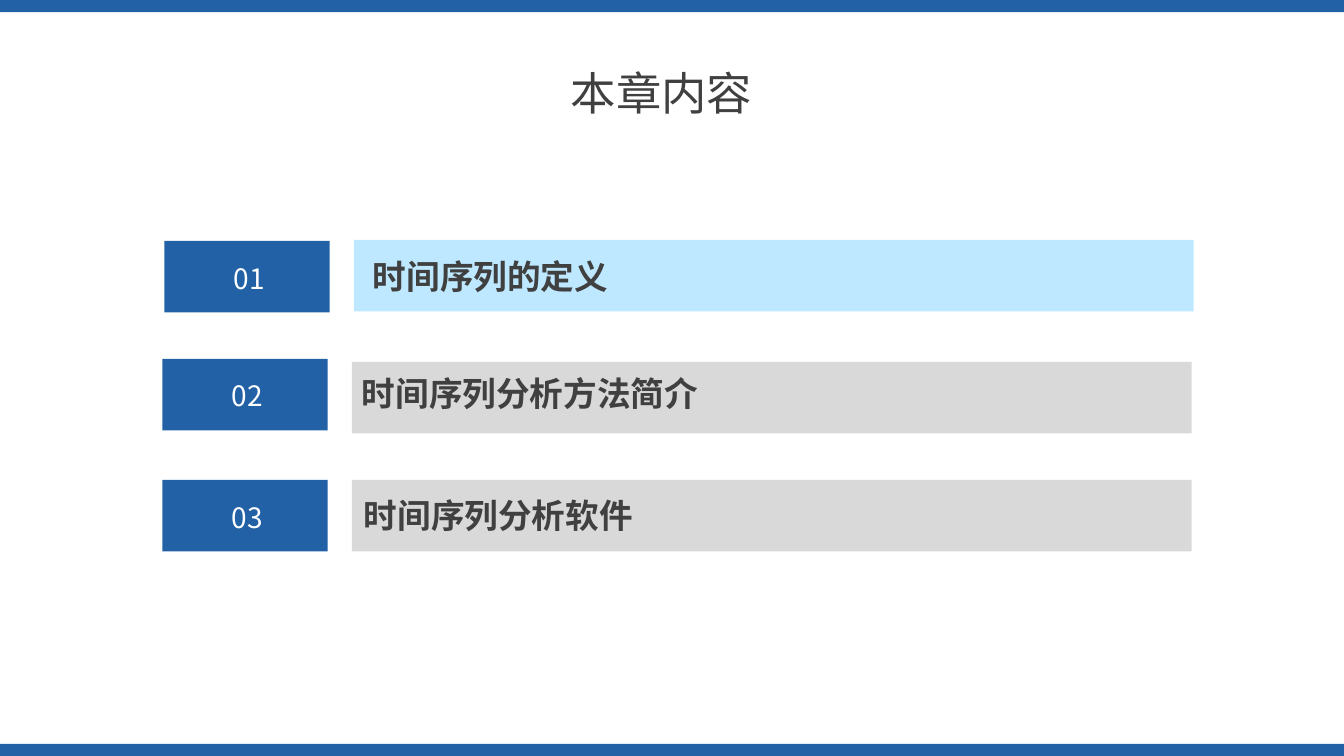
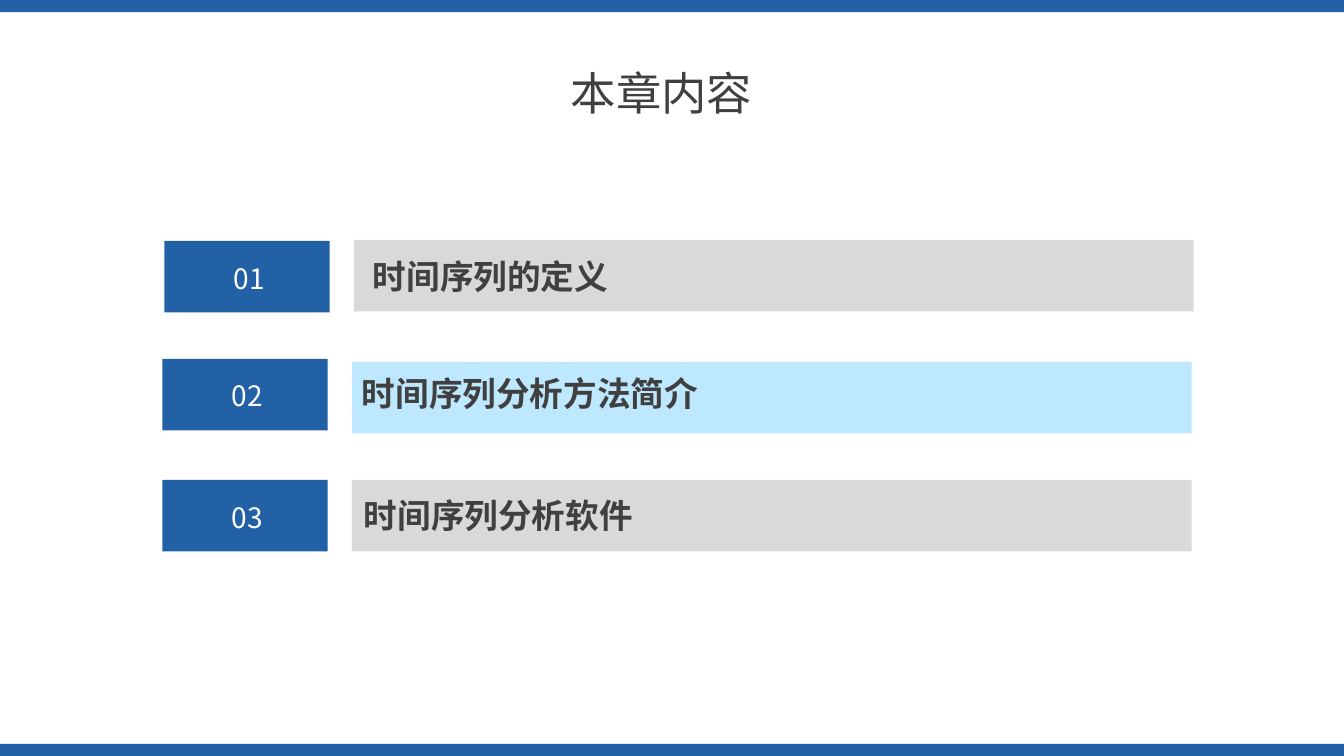
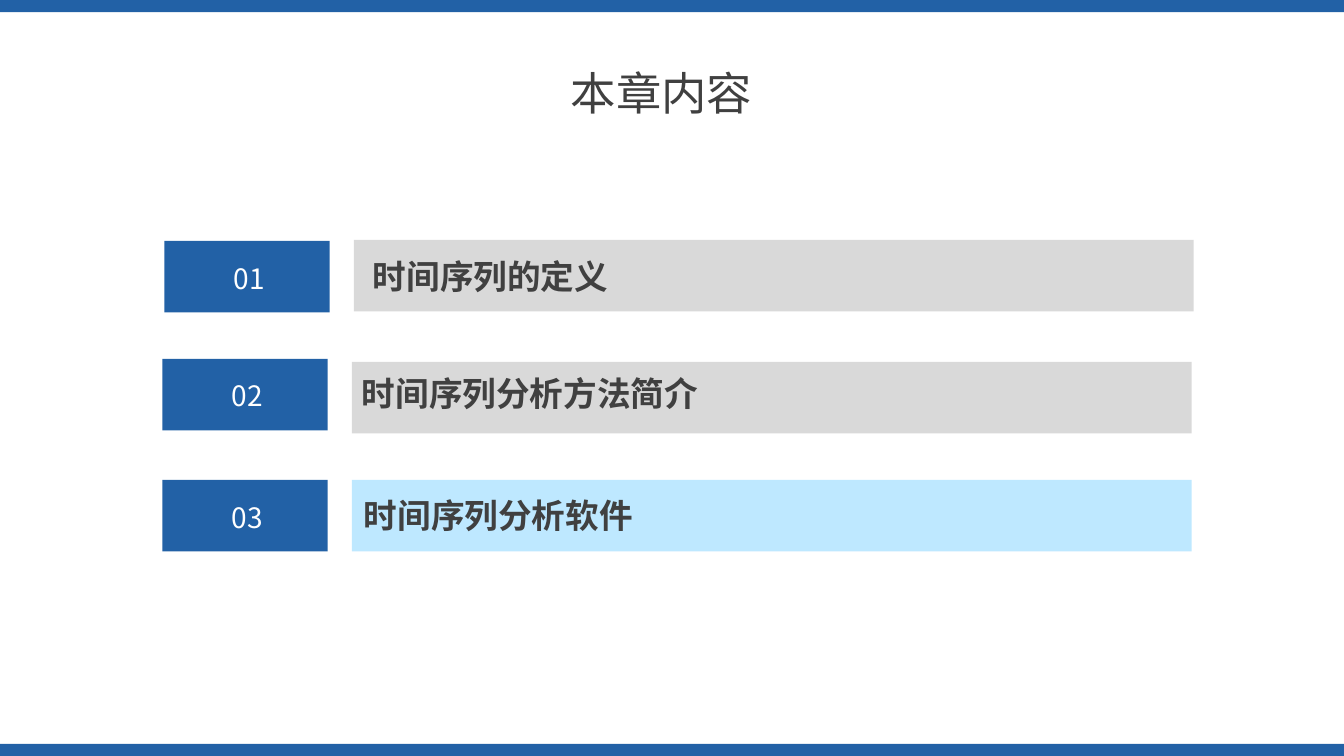
"""Build the three chapter agenda slides, each highlighting one section."""
from dataclasses import dataclass

from lxml.etree import SubElement
from pptx import Presentation
from pptx.dml.color import RGBColor
from pptx.enum.shapes import MSO_SHAPE
from pptx.enum.text import MSO_ANCHOR as Anchor, MSO_AUTO_SIZE, PP_ALIGN
from pptx.oxml.ns import qn
from pptx.shapes.autoshape import Shape
from pptx.slide import Slide, SlideLayout
from pptx.util import Inches, Pt

BLUE = RGBColor(0x22, 0x61, 0xA6)
LIGHT_BLUE = RGBColor(0xBE, 0xE8, 0xFF)
GRAY = RGBColor(0xD9, 0xD9, 0xD9)
DARK = RGBColor(0x40, 0x40, 0x40)
WHITE = RGBColor(0xFF, 0xFF, 0xFF)
FONT = "Noto Sans CJK SC"
TITLE = "本章内容"
WIDTH, HEIGHT, BAND = 13.33, 7.5, 0.12
BADGE_W, BAR_W, ROW_H = 1.64, 8.33, 0.71
BAR_DX, NUMBER_DX, NUMBER_W, NUMBER_H = 1.88, 0.59, 0.51, 0.44
LABEL_W, LABEL_H = 5.65, 0.38


@dataclass(frozen=True)
class Section:
    """One agenda row: its label and the places of its parts."""
    label: str
    left: float
    badge_top: float
    bar_top: float
    label_left: float
    text_top: float


SECTIONS = (
    Section("时间序列的定义", 1.63, 2.39, 2.38, 3.6, 2.55),
    Section("时间序列分析方法简介", 1.61, 3.56, 3.59, 3.49, 3.71),
    Section("时间序列分析软件", 1.61, 4.76, 4.76, 3.51, 4.92),
)


def write(s: Shape, text: str, *, size: float, color: RGBColor = DARK,
          bold: bool = False, anchor: Anchor = Anchor.MIDDLE,
          wrap: bool = True) -> None:
    """Put one formatted line of text into a shape."""
    tf = s.text_frame
    tf.word_wrap = wrap
    tf.auto_size = MSO_AUTO_SIZE.NONE
    tf.vertical_anchor = anchor
    p = tf.paragraphs[0]
    p.alignment = PP_ALIGN.LEFT
    r = p.add_run()
    r.text = text
    r.font.size = Pt(size)
    r.font.bold = bold
    r.font.color.rgb = color
    r.font.name = FONT
    SubElement(r._r.get_or_add_rPr(), qn("a:ea")).set("typeface", FONT)


def add_rect(s: Slide, left: float, top: float, width: float, height: float,
             color: RGBColor) -> Shape:
    """Add a plain filled rectangle."""
    sp = s.shapes.add_shape(MSO_SHAPE.RECTANGLE, Inches(left), Inches(top),
                            Inches(width), Inches(height))
    sp.shadow.inherit = False
    sp.fill.solid()
    sp.fill.fore_color.rgb = color
    sp.line.fill.background()
    return sp


def add_text(s: Slide, text: str, left: float, top: float, width: float,
             height: float, **fmt) -> None:
    """Add a text box with one formatted line."""
    sp = s.shapes.add_textbox(Inches(left), Inches(top), Inches(width), Inches(height))
    write(sp, text, **fmt)


def place_title(layout: SlideLayout) -> None:
    """Set the title position that all slides inherit."""
    sp = layout.placeholders[0]
    sp.left, sp.top = Inches(5.56), Inches(0.56)
    sp.width, sp.height = Inches(2.22), Inches(0.71)


def add_master_bands(s: Slide) -> None:
    """Draw the top and bottom bands and move them to the slide master."""
    tree = s.slide_layout.slide_master.shapes.element
    for i, top in enumerate((0, HEIGHT - BAND)):
        band = add_rect(s, 0, top, WIDTH, BAND, BLUE)
        band.element.nvSpPr.cNvPr.id = 100 + i
        tree.insert(2, band.element)


def add_section(s: Slide, number: int, section: Section, active: bool) -> None:
    """Draw one agenda row with its badge, bar, number and label."""
    add_rect(s, section.left, section.badge_top, BADGE_W, ROW_H, BLUE)
    add_rect(s, section.left + BAR_DX, section.bar_top, BAR_W, ROW_H,
             LIGHT_BLUE if active else GRAY)
    add_text(s, f"{number:02}", section.left + NUMBER_DX, section.text_top,
             NUMBER_W, NUMBER_H, size=20, color=WHITE, anchor=Anchor.TOP, wrap=False)
    add_text(s, section.label, section.label_left, section.text_top,
             LABEL_W, LABEL_H, size=24, bold=True)


def main() -> None:
    """Build and save the presentation."""
    prs = Presentation()
    prs.slide_width, prs.slide_height = Inches(WIDTH), Inches(HEIGHT)
    layout = prs.slide_layouts[5]
    place_title(layout)
    for active in SECTIONS:
        s = prs.slides.add_slide(layout)
        write(s.shapes.title, TITLE, size=32.4)
        for number, section in enumerate(SECTIONS, 1):
            add_section(s, number, section, section is active)
    add_master_bands(prs.slides[0])
    prs.save("out.pptx")


if __name__ == "__main__":
    main()
